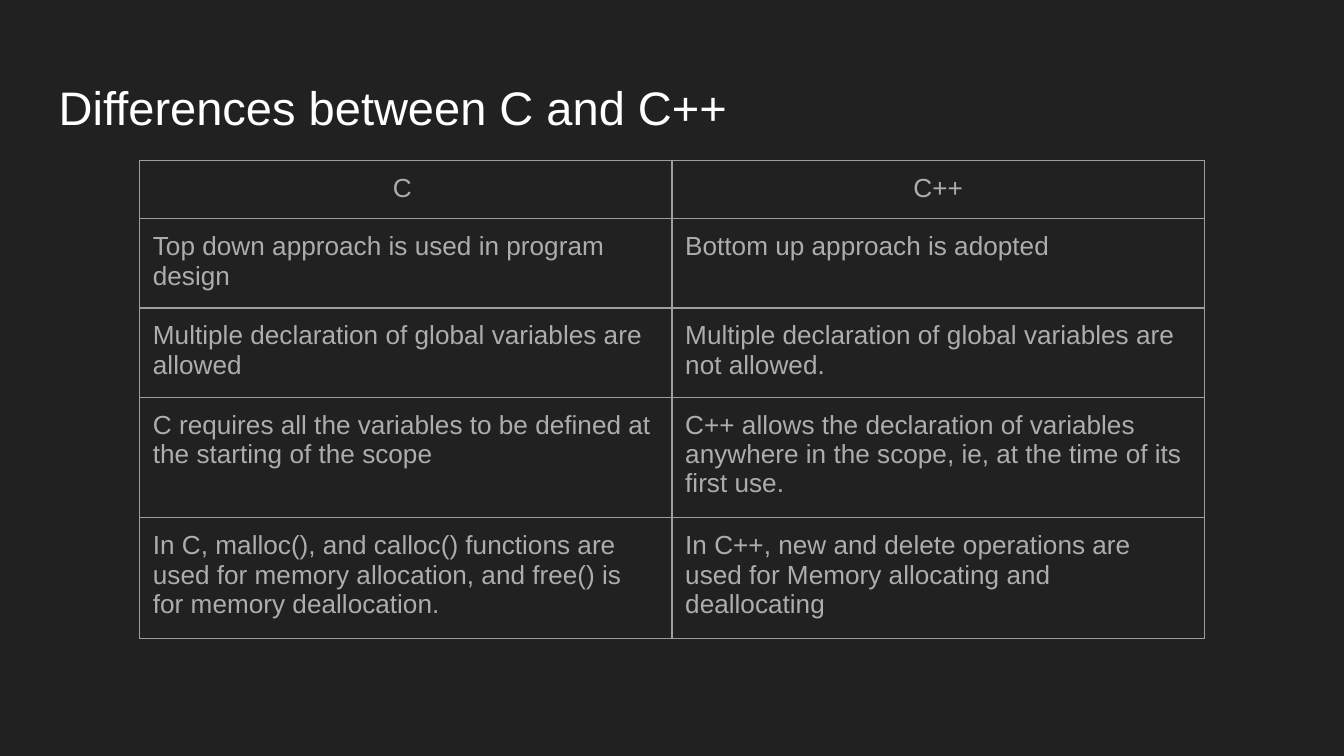
from lxml import etree
from pptx import Presentation
from pptx.dml.color import RGBColor
from pptx.enum import text
from pptx.oxml import ns
from pptx.util import Cm, Pt

COLOURS = {
    "background": "212121",
    "title": "FFFFFF",
    "body": "ADADAD",
    "border": "9E9E9E",
}

ROWS = [
    ("C ", "C++"),
    ("Top down approach is used in program design",
     "Bottom up approach is adopted"),
    ("Multiple declaration of global variables are allowed",
     "Multiple declaration of global variables are not allowed."),
    ("C requires all the variables to be defined at the starting of the scope",
     "C++ allows the declaration of variables anywhere in the scope, ie, "
     "at the time of its first use."),
    ("In C, malloc(), and calloc() functions are used for memory allocation, "
     "and free() is for memory deallocation.",
     "In C++, new and delete operations are used for Memory allocating "
     "and deallocating"),
]


class DarkPage:
    font = "Arial"
    inset = Cm(0.25)
    border_width = Pt(0.75)

    def __init__(self, deck):
        self.page = deck.slides.add_slide(deck.slide_layouts[6])
        fill = self.page.background.fill
        fill.solid()
        fill.fore_color.rgb = self.colour("background")

    def colour(self, name):
        return RGBColor.from_string(COLOURS[name])

    def style_text(self, frame, wording, size, colour,
                   align=text.PP_ALIGN.LEFT):
        frame.text = wording
        for para in frame.paragraphs:
            para.alignment = align
            for span in para.runs:
                span.font.name = self.font
                span.font.size = Pt(size)
                span.font.color.rgb = self.colour(colour)

    def inset_text(self, holder):
        holder.margin_left = holder.margin_right = self.inset
        holder.margin_top = holder.margin_bottom = self.inset

    def title(self, wording, left, top, width, height):
        box = self.page.shapes.add_textbox(left, top, width, height)
        frame = box.text_frame
        frame.word_wrap = True
        self.inset_text(frame)
        self.style_text(frame, wording, 25.2, "title")

    def border(self, cell):
        properties = cell._tc.get_or_add_tcPr()
        for side in ("L", "R", "T", "B"):
            line = etree.SubElement(properties, ns.qn(f"a:ln{side}"),
                                    w=str(self.border_width))
            fill = etree.SubElement(line, ns.qn("a:solidFill"))
            etree.SubElement(fill, ns.qn("a:srgbClr"), val=COLOURS["border"])

    def table(self, rows, left, top, column_width, row_height):
        columns = len(rows[0])
        table = self.page.shapes.add_table(
            len(rows), columns, left, top,
            column_width * columns, row_height * len(rows)).table
        table.first_row = False
        table.horz_banding = False
        for row, wordings in enumerate(rows):
            align = text.PP_ALIGN.LEFT if row else text.PP_ALIGN.CENTER
            for column, wording in enumerate(wordings):
                cell = table.cell(row, column)
                self.inset_text(cell)
                self.style_text(cell.text_frame, wording, 14, "body", align)
                self.border(cell)
                cell.fill.background()


def main():
    deck = Presentation()
    deck.slide_width = Cm(25.4)
    deck.slide_height = Cm(14.29)
    page = DarkPage(deck)
    page.title("Differences between C and C++",
               Cm(0.86), Cm(1.24), Cm(23.67), Cm(1.6))
    page.table(ROWS, Cm(2.64), Cm(3.04), Cm(10.06), Cm(1.07))
    deck.save("out.pptx")


if __name__ == "__main__":
    main()
